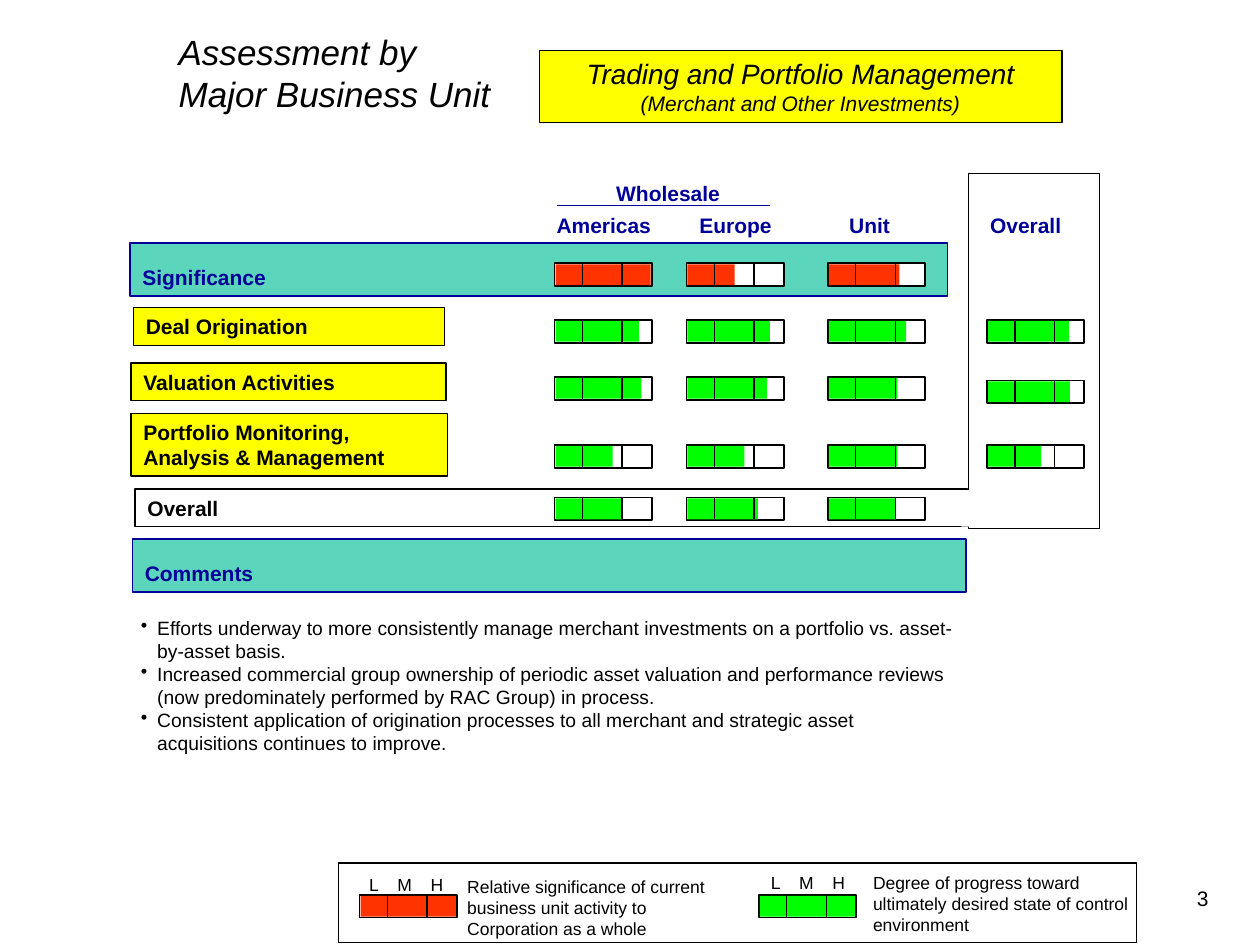
from pptx import Presentation
from pptx.dml.color import RGBColor
from pptx.enum.shapes import MSO_CONNECTOR, MSO_SHAPE
from pptx.enum.text import MSO_ANCHOR, PP_ALIGN
from pptx.oxml.ns import qn
from pptx.util import Cm, Pt
from lxml import etree

RECT, LINE = MSO_SHAPE.RECTANGLE, MSO_CONNECTOR.STRAIGHT
TOP, BOTTOM = MSO_ANCHOR.TOP, MSO_ANCHOR.BOTTOM
LEFT, CENTER = PP_ALIGN.LEFT, PP_ALIGN.CENTER
BLACK, WHITE = RGBColor(0, 0, 0), RGBColor(255, 255, 255)
NAVY, TEAL = RGBColor(0, 0, 0x99), RGBColor(0x5B, 0xD5, 0xBB)
YELLOW, RED = RGBColor(255, 255, 0), RGBColor(255, 0x33, 0)
GREEN = RGBColor(0, 255, 0)

# Content, all lengths in cm
TITLE = "Assessment by\vMajor Business Unit"
BANNER = [("Trading and Portfolio Management", 16),
          ("(Merchant and Other Investments)", 12)]
HEADS = ["Americas", "Europe", "Unit", "Overall"]
HEAD_TABS = [1.9, 4.78, 7.8, 10.64]

# Row label, box, fill, line, line width, text colour, line spacing
BARS = [
    (["Significance"], (2.62, 4.9, 16.48, 1.07), TEAL, NAVY, 1, NAVY, 1.6),
    (["Deal Origination"], (2.69, 6.2, 6.27, 0.76), YELLOW, BLACK, 0.75, BLACK, None),
    (["Valuation Activities"], (2.64, 7.32, 6.35, 0.76), YELLOW, BLACK, 0.75, BLACK, None),
    (["Portfolio Monitoring,", "Analysis & Management"],
     (2.64, 8.33, 6.38, 1.27), YELLOW, BLACK, 0.75, BLACK, None),
    (["Overall"], (2.72, 9.86, 16.79, 0.76), None, BLACK, 0.75, BLACK, None),
    (["Comments"], (2.67, 10.87, 16.81, 1.07), TEAL, NAVY, 1, NAVY, 1.6),
]

# Gauges: top, colour, first column, filled widths
COLS = [11.18, 13.84, 16.69, 19.9]
FULL = 1.92
GAUGES = [
    (5.31, RED, 0, [FULL, 0.95, 1.42]),
    (6.45, GREEN, 0, [1.68, 1.66, 1.56, 1.63]),
    (7.6, GREEN, 0, [1.73, 1.6, 1.38]),
    (7.67, GREEN, 3, [1.65]),
    (8.97, GREEN, 0, [1.15, 1.15, 1.38, 1.07]),
    (10.03, GREEN, 0, [1.34, 1.42, 1.35]),
]
WIDE, HIGH = 1.96, 0.46
TICKS = [0.56, 1.36]

NOTES = [
    "Efforts underway to more consistently manage merchant investments "
    "on a portfolio vs. asset-by-asset basis.",
    "Increased commercial group ownership of periodic asset valuation and "
    "performance reviews (now predominately performed by RAC Group) in process.",
    "Consistent application of origination processes to all merchant and "
    "strategic asset acquisitions continues to improve.",
]

# Legend: gauge left, colour, scale box, text, text box
KEYS = [
    (7.25, RED, (7.19, 17.48, 2.03, 0.69),
     "Relative significance of current business unit activity to "
     "Corporation as a whole", (9.17, 17.53, 5.61, 1.52)),
    (15.3, GREEN, (15.29, 17.45, 2.03, 0.69),
     "Degree of progress toward ultimately desired state of control "
     "environment", (17.35, 17.45, 6.12, 1.52)),
]

prs = Presentation()
prs.slide_width, prs.slide_height = Cm(25.4), Cm(19.05)
slide = prs.slides.add_slide(prs.slide_layouts[5])
shapes = slide.shapes


def style(font, size, color=BLACK, **more):
    look = {"name": "Arial", "size": Pt(size), "bold": False, "italic": False}
    for key, value in {**look, **more}.items():
        setattr(font, key, value)
    font.color.rgb = color


def frame(shape, wrap=True, anchor=TOP):
    text = shape.text_frame
    pad = {"margin_left": Cm(0.25), "margin_right": Cm(0.25),
           "margin_top": Cm(0.13), "margin_bottom": Cm(0.13),
           "word_wrap": wrap, "vertical_anchor": anchor}
    for key, value in pad.items():
        setattr(text, key, value)
    return text


def write(shape, lines, size, color=BLACK, align=LEFT, space=None, tabs=(),
          bullet=False, wrap=True, anchor=TOP, **more):
    text = frame(shape, wrap, anchor)
    for i, line in enumerate(lines):
        para = text.add_paragraph() if i else text.paragraphs[0]
        para.text = line
        para.alignment = align
        if space:
            para.line_spacing = space
        props = para._p.get_or_add_pPr()
        if bullet:
            props.set("marL", str(Cm(0.33)))
            props.set("indent", str(-Cm(0.33)))
            etree.SubElement(props, qn("a:buChar"), char="•")
        if tabs:
            stops = etree.SubElement(props, qn("a:tabLst"))
            for tab in tabs:
                etree.SubElement(stops, qn("a:tab"), pos=str(Cm(tab)), algn="l")
        style(para.font, size, color, **more)


def label(box, lines, size, **more):
    write(shapes.add_textbox(*map(Cm, box)), lines, size, **more)


def block(box, fill=None, line=None, width=0.75):
    shape = shapes.add_shape(RECT, *map(Cm, box))
    shape.shadow.inherit = False
    for part, color in ((shape.fill, fill), (shape.line.fill, line)):
        if color is None:
            part.background()
        else:
            part.solid()
            part.fore_color.rgb = color
    if line is not None:
        shape.line.width = Pt(width)
    return shape


def rule(x1, y1, x2, y2, color=BLACK, width=0.75):
    line = shapes.add_connector(LINE, Cm(x1), Cm(y1), Cm(x2), Cm(y2))
    line.line.color.rgb = color
    line.line.width = Pt(width)
    etree.SubElement(line._element.spPr, qn("a:effectLst"))


def gauge(x, y, color, part):
    block((x, y, WIDE, HIGH), WHITE, BLACK, 1)
    block((x + 0.02, y + 0.02, part, HIGH - 0.04), color)
    for tick in TICKS:
        rule(x + tick, y + 0.01, x + tick, y + HIGH - 0.02)


# Title and banner
title = shapes.title
for key, value in zip(("left", "top", "width", "height"), (3.35, 0.48, 21.41, 1.93)):
    setattr(title, key, Cm(value))
title.fill.solid()
title.fill.fore_color.rgb = WHITE
write(title, [TITLE], 20, italic=True)
text = frame(block((10.87, 1.02, 10.54, 1.45), YELLOW, BLACK))
para = text.paragraphs[0]
para.alignment = CENTER
for i, (words, size) in enumerate(BANNER):
    if i:
        para.add_line_break()
    run = para.add_run()
    run.text = words
    style(run.font, size, italic=True)

# Column heads
label((9.07, 3.66, 13.39, 1.27), ["\t" + "\t".join(HEADS)], 12, color=NAVY,
      tabs=HEAD_TABS, wrap=False, anchor=BOTTOM, bold=True)
label((11.3, 3.5, 4.34, 0.76), ["Wholesale"], 12, color=NAVY, align=CENTER, bold=True)
rule(11.23, 4.14, 15.52, 4.14, NAVY, 1)

# Row bars and the overall column, joined by a white patch
block((19.53, 3.5, 2.64, 7.16), None, BLACK)
for lines, box, fill, edge, width, color, space in BARS:
    write(block(box, fill, edge, width), lines, 12, color, space=space, bold=True)
block((19.38, 9.88, 0.25, 0.74), WHITE)

# Gauges
for y, color, first, parts in GAUGES:
    for x, part in zip(COLS[first:], parts):
        gauge(x, y, color, part)

# Comments
label((2.59, 12.29, 16.94, 3.05), NOTES, 11, bullet=True)

# Legend and page number
block((6.83, 17.4, 16.08, 1.6), None, BLACK)
for x, color, scale, words, box in KEYS:
    gauge(x, 18.04, color, FULL)
    label(scale, ["L\tM\tH"], 10, tabs=[0.57, 1.24], wrap=False)
    label(box, [words], 10)
label((23.88, 17.73, 0.74, 0.76), ["3"], 12, wrap=False)

prs.save("out.pptx")
